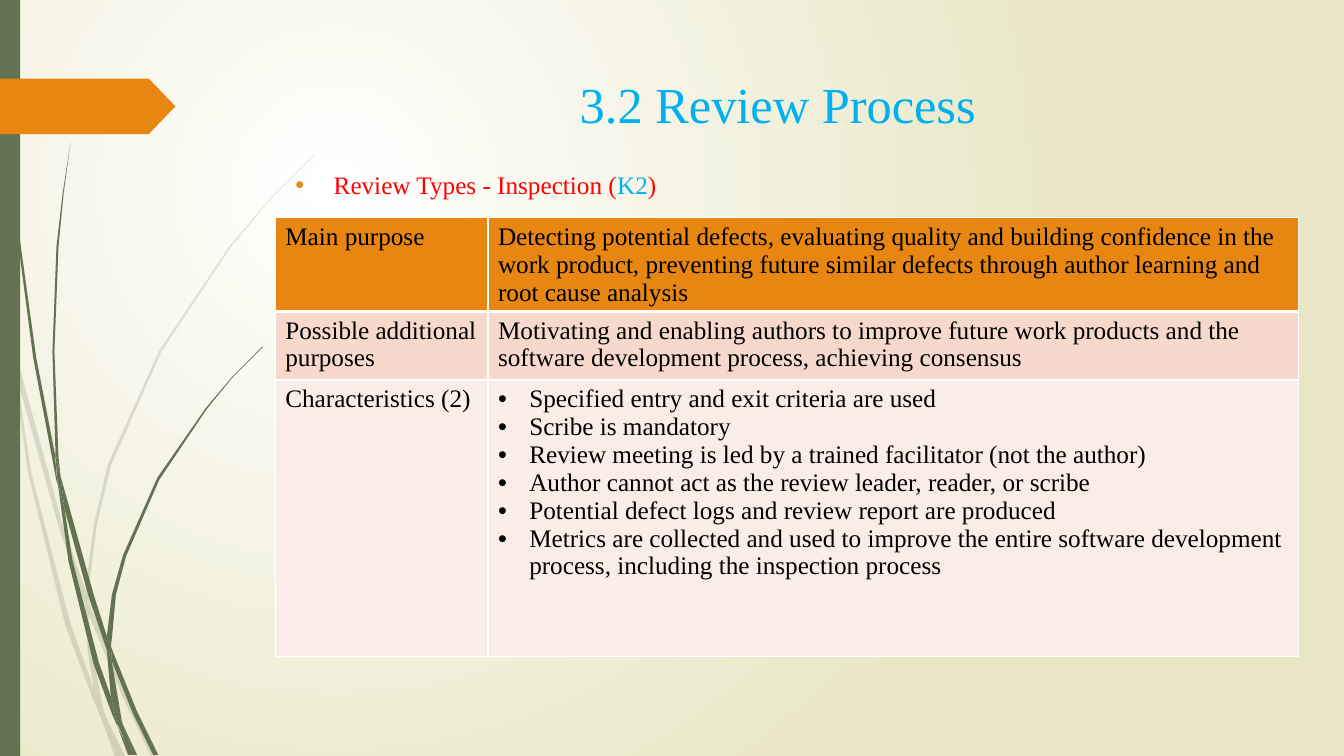
from lxml.etree import SubElement
from pptx import Presentation
from pptx.dml.color import RGBColor
from pptx.enum.shapes import MSO_SHAPE as Preset
from pptx.enum.text import MSO_ANCHOR as Anchor, MSO_AUTO_SIZE as AutoSize, PP_ALIGN as Align
from pptx.oxml.ns import qn
from pptx.util import Inches, Pt

FONT = "Times New Roman"
BLACK = RGBColor(0x00, 0x00, 0x00)
WHITE = RGBColor(0xFF, 0xFF, 0xFF)
CREAM = RGBColor(0xE8, 0xE6, 0xC4)
GREEN = RGBColor(0x64, 0x72, 0x52)
ORANGE = RGBColor(0xE7, 0x87, 0x12)
BLUE = RGBColor(0x00, 0xB0, 0xF0)
RED = RGBColor(0xFF, 0x00, 0x00)
ROSE = RGBColor(0xF6, 0xD9, 0xCC)
PALE_ROSE = RGBColor(0xFA, 0xED, 0xE7)

# Outlines of the grass blade segments
PALE_BLADES = [
    [(0.11, 3.5), (0.09, 3.22), (0, 2.82), (0, 2.99), (0.1, 3.44)],
    [(0.58, 5.22), (0.84, 5.99), (0.85, 5.86), (0.62, 5.2), (0.14, 3.45), (0.17, 3.76)],
    [(0.92, 6.07), (0.88, 5.96), (0.88, 6.1), (1.23, 6.94), (1.5, 7.5), (1.55, 7.5),
     (1.27, 6.92)],
    [(1.19, 7.5), (1.24, 7.5), (1.05, 7.11)],
    [(0.93, 6.83), (0.7, 6.19), (0.31, 4.69), (0.17, 3.76), (0.11, 3.5), (0.28, 4.7),
     (0.65, 6.21), (0.92, 6.93), (1.01, 7.14), (0.99, 7.07)],
    [(0.84, 5.99), (0.87, 6.46), (0.93, 6.83), (0.96, 6.92), (1.05, 7.11), (1.03, 7.06),
     (0.91, 6.46), (0.88, 6.1), (0.88, 6.08)],
    [(0.88, 5.84), (0.96, 5.21), (1.1, 4.62), (1.6, 3.49), (2.29, 2.45), (2.68, 1.98),
     (3.12, 1.54), (3.12, 1.53), (2.68, 1.97), (2.28, 2.44), (1.58, 3.48), (1.07, 4.61),
     (0.93, 5.21), (0.85, 5.84), (0.85, 5.86), (0.88, 5.96)],
    [(1.01, 7.14), (1.14, 7.5), (1.19, 7.5)],
    [(0.88, 6.08), (0.88, 6.1), (0.88, 5.96), (0.85, 5.86), (0.84, 5.99)],
    [(0.96, 6.92), (0.93, 6.83), (0.99, 7.07), (1.01, 7.14), (1.19, 7.5), (1.05, 7.11)],
]
DARK_BLADES = [
    [(0.07, 1.1), (0.17, 2.33), (0.33, 3.55), (0.56, 4.77), (0.57, 4.81), (0.55, 4.57),
     (0.55, 4.53), (0.36, 3.55), (0.19, 2.32), (0.08, 1.09), (0.04, 0), (0.03, 0)],
    [(0.88, 5.92), (1.06, 6.45), (1.06, 6.31), (0.93, 5.9), (0.6, 4.72), (0.64, 5.05)],
    [(1.13, 6.49), (1.1, 6.41), (1.11, 6.56), (1.32, 7.08), (1.52, 7.49), (1.57, 7.49),
     (1.36, 7.06)],
    [(1.1, 6.91), (0.98, 6.57), (0.72, 5.56), (0.64, 5.05), (0.57, 4.77), (0.68, 5.57),
     (0.93, 6.59), (1.11, 7.08), (1.17, 7.22), (1.16, 7.17)],
    [(0.6, 4.72), (0.58, 4.53), (0.54, 3.49), (0.58, 2.45), (0.63, 1.93), (0.7, 1.41),
     (0.62, 1.93), (0.56, 2.45), (0.52, 3.49), (0.55, 4.49)],
    [(1.33, 7.49), (1.36, 7.49), (1.22, 7.19)],
    [(0.57, 4.77), (0.64, 5.05), (0.6, 4.72), (0.55, 4.49), (0.55, 4.53)],
    [(1.11, 6.33), (1.15, 5.9), (1.25, 5.52), (1.58, 4.76), (2.05, 4.06), (2.31, 3.74),
     (2.61, 3.44), (2.6, 3.44), (2.31, 3.73), (2.04, 4.05), (1.56, 4.74), (1.22, 5.51),
     (1.11, 5.9), (1.06, 6.31), (1.1, 6.41)],
    [(1.17, 7.22), (1.27, 7.49), (1.31, 7.49)],
    [(1.06, 6.45), (1.1, 6.91), (1.16, 7.06), (1.22, 7.19), (1.21, 7.16), (1.11, 6.56),
     (1.09, 6.51)],
    [(1.06, 6.45), (1.09, 6.51), (1.11, 6.56), (1.1, 6.41), (1.06, 6.31)],
    [(1.16, 7.06), (1.1, 6.91), (1.16, 7.17), (1.3, 7.49), (1.33, 7.49), (1.22, 7.19)],
]

# Label, lines of text, fill, row height
ROWS = [
    ("Main purpose",
     ["Detecting potential defects, evaluating quality and building confidence in the work "
      "product, preventing future similar defects through author learning and root cause "
      "analysis"], ORANGE, 0.93),
    ("Possible additional purposes",
     ["Motivating and enabling authors to improve future work products and the software "
      "development process, achieving consensus"], ROSE, 0.68),
    ("Characteristics (2)",
     ["Specified entry and exit criteria are used",
      "Scribe is mandatory",
      "Review meeting is led by a trained facilitator (not the author)",
      "Author cannot act as the review leader, reader, or scribe",
      "Potential defect logs and review report are produced",
      "Metrics are collected and used to improve the entire software development process, "
      "including the inspection process"], PALE_ROSE, 2.74),
]


def set_background(slide):
    fill = slide.background.fill
    fill.gradient()
    for stop, color, position in zip(fill.gradient_stops, (WHITE, CREAM), (0, 1)):
        stop.color.rgb = color
        stop.position = position
    gradient = slide._element.find(".//" + qn("a:gradFill"))
    gradient.remove(gradient.find(qn("a:lin")))
    circle = SubElement(gradient, qn("a:path"), {"path": "circle"})
    SubElement(circle, qn("a:fillToRect"), l="50000", t="50000", r="100000", b="100000")


def paint(shape, color, alpha=100):
    shape.shadow.inherit = False
    shape.fill.solid()
    shape.fill.fore_color.rgb = color
    shape.line.fill.background()
    if alpha < 100:
        rgb = shape._element.spPr.find(".//" + qn("a:srgbClr"))
        SubElement(rgb, qn("a:alpha"), val=str(alpha * 1000))


def add_preset(slide, preset, left, top, width, height, color):
    shape = slide.shapes.add_shape(
        preset, Inches(left), Inches(top), Inches(width), Inches(height))
    paint(shape, color)
    return shape


def add_blade(slide, points, alpha):
    outline = [(Inches(x), Inches(y)) for x, y in points]
    builder = slide.shapes.build_freeform(*outline[0], scale=1.0)
    builder.add_line_segments(outline[1:], close=True)
    paint(builder.convert_to_shape(), GREEN, alpha)


def format_run(run, size, color):
    run.font.name = FONT
    run.font.size = Pt(size)
    run.font.color.rgb = color


def set_bullet(paragraph, indent, color):
    properties = paragraph._p.get_or_add_pPr()
    properties.set("marL", str(Inches(indent)))
    properties.set("indent", str(-Inches(indent)))
    bullet_color = SubElement(properties, qn("a:buClr"))
    SubElement(bullet_color, qn("a:srgbClr"), val=str(color))
    SubElement(properties, qn("a:buFont"), typeface="Arial")
    SubElement(properties, qn("a:buChar"), char="•")


def place_placeholder(slide, placeholder, left, top, width, height):
    """Position the placeholder and bring it in front of the decoration."""
    placeholder.left, placeholder.top = Inches(left), Inches(top)
    placeholder.width, placeholder.height = Inches(width), Inches(height)
    slide.shapes._spTree.append(placeholder._element)
    text_frame = placeholder.text_frame
    text_frame.auto_size = AutoSize.NONE
    text_frame.vertical_anchor = Anchor.TOP
    return text_frame


def fill_cell(cell, lines, color, top_width, bottom_width):
    cell.text_frame.text = "\n".join(lines)
    for paragraph in cell.text_frame.paragraphs:
        format_run(paragraph.runs[0], 18, BLACK)
        if len(lines) > 1:
            set_bullet(paragraph, 0.31, BLACK)
    # Borders come before the fill in the cell properties
    properties = cell._tc.get_or_add_tcPr()
    for side, width in (("L", 1), ("R", 1), ("T", top_width), ("B", bottom_width)):
        border = SubElement(properties, qn("a:ln" + side), w=str(Pt(width)))
        solid = SubElement(border, qn("a:solidFill"))
        SubElement(solid, qn("a:srgbClr"), val=str(WHITE))
    cell.fill.solid()
    cell.fill.fore_color.rgb = color


def add_review_table(slide):
    height = sum(row[-1] for row in ROWS)
    table = slide.shapes.add_table(
        len(ROWS), 2, Inches(2.73), Inches(2.16), Inches(10.15), Inches(height)).table
    for column, width in zip(table.columns, (2.11, 8.04)):
        column.width = Inches(width)
    for index, (label, lines, color, row_height) in enumerate(ROWS):
        table.rows[index].height = Inches(row_height)
        top_width = 3 if index == 1 else 1
        bottom_width = 3 if index == 0 else 1
        for column, content in enumerate(([label], lines)):
            fill_cell(table.cell(index, column), content, color, top_width, bottom_width)


def main():
    presentation = Presentation()
    presentation.slide_width, presentation.slide_height = Inches(13.33), Inches(7.5)
    slide = presentation.slides.add_slide(presentation.slide_layouts[1])
    title, body = slide.placeholders

    # Decoration
    set_background(slide)
    for blades, alpha in ((PALE_BLADES, 20), (DARK_BLADES, 100)):
        for points in blades:
            add_blade(slide, points, alpha)
    add_preset(slide, Preset.RECTANGLE, 0, 0, 0.2, 7.5, GREEN)
    tag = add_preset(slide, Preset.PENTAGON, 0, 0.78, 1.74, 0.55, ORANGE)
    tag.adjustments[0] = 0.48

    # Title
    text_frame = place_placeholder(slide, title, 2.84, 0.68, 9.75, 0.95)
    text_frame.text = "3.2 Review Process"
    text_frame.paragraphs[0].alignment = Align.CENTER
    format_run(text_frame.paragraphs[0].runs[0], 36, BLUE)

    # Review type
    text_frame = place_placeholder(slide, body, 2.83, 1.63, 9.75, 5.87)
    paragraph = text_frame.paragraphs[0]
    paragraph.space_before = Pt(10)
    set_bullet(paragraph, 0.38, ORANGE)
    for text, color in (("Review Types - Inspection (", RED), ("K2", BLUE), (")", RED)):
        run = paragraph.add_run()
        run.text = text
        format_run(run, 18, color)

    add_review_table(slide)
    presentation.save("out.pptx")


main()
